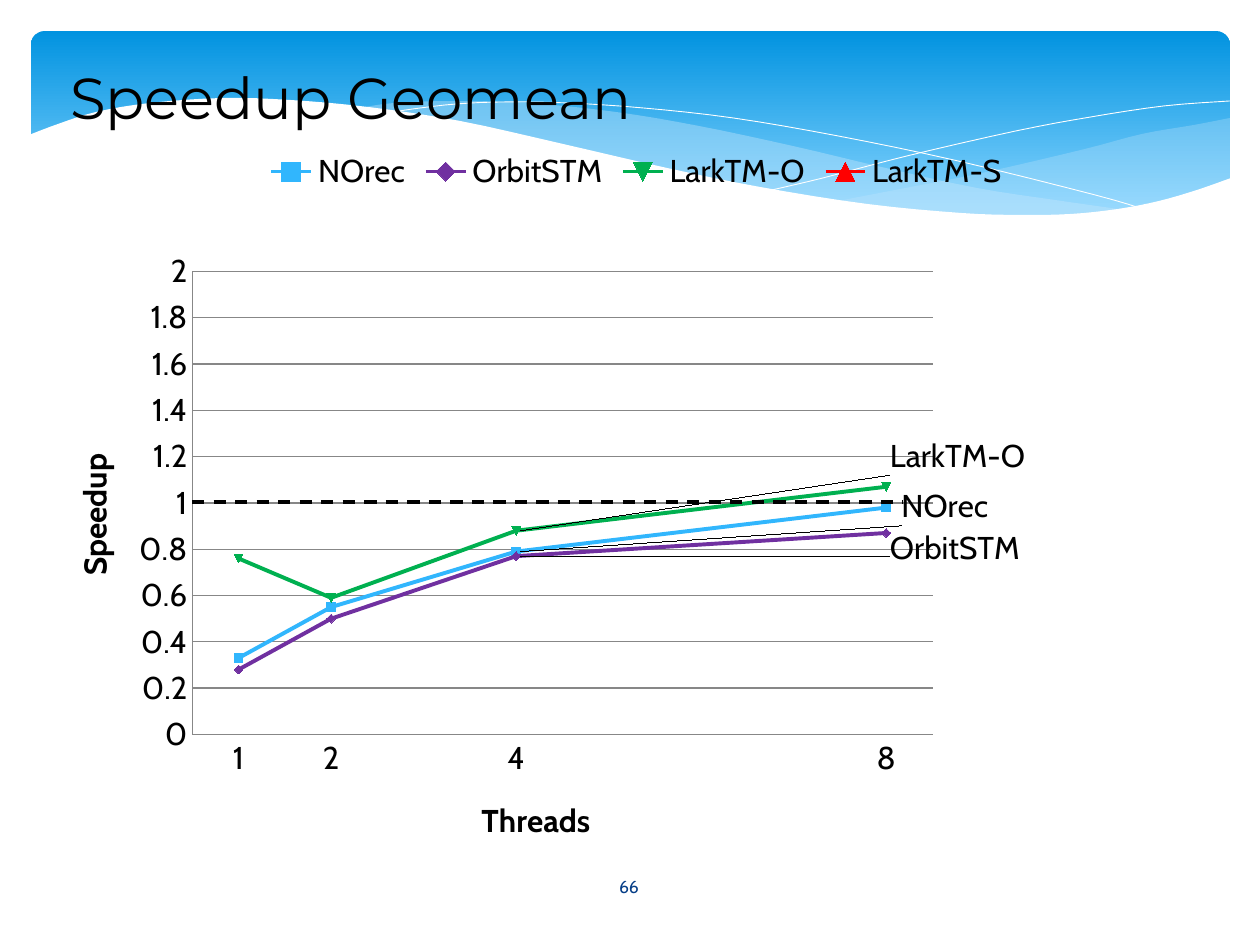
import pptx
import pptx.chart.data
import pptx.dml.color
import pptx.enum.chart
import pptx.enum.dml
import pptx.enum.shapes
import pptx.enum.text
import pptx.oxml
import pptx.oxml.ns
import pptx.util

COLORS = {"sky": "0293E0", "pale": "83D3FE", "wave": "C6E7FC", "white": "FFFFFF",
          "black": "000000", "number": "073E87", "grid": "878787"}
FONT = "Cabin"

CATEGORIES = ["1", "2", "", "4", "", "", "", "8"]
# name, color, values by thread count, label offset as a share of the chart
SERIES = [
    ("NOrec", "31B6FD", {"1": 0.33, "2": 0.55, "4": 0.79, "8": 0.98}, (0.33, -0.06)),
    ("OrbitSTM", "7030A0", {"1": 0.28, "2": 0.5, "4": 0.77, "8": 0.87}, (0.32, -0.01)),
    ("LarkTM-O", "00B050", {"1": 0.76, "2": 0.59, "4": 0.88, "8": 1.07}, (0.32, -0.1)),
    ("LarkTM-S", "FF0000", {}, (0.32, -0.15)),
]
LABELLED = CATEGORIES.index("4")
PLOT = {"x": 0.11, "y": 0.18, "w": 0.65, "h": 0.62}

# Each outline is a list of smooth curves joined end to end.
RIGHT_WAVE = [
    [(1230, 118), (1194, 125), (1142, 134), (1085, 149), (982, 173), (890, 191), (833, 202)],
    [(833, 202), (906, 210), (969, 215), (1026, 217), (1076, 215), (1120, 211), (1160, 204),
     (1196, 194), (1230, 178)],
]
MIDDLE_WAVE = [
    [(1125, 210), (1055, 200), (977, 188), (890, 169), (793, 146), (699, 126), (616, 112),
     (529, 103), (455, 101), (394, 103), (360, 108)],
    [(360, 108), (431, 118), (509, 134), (566, 146), (668, 170), (757, 191), (838, 204),
     (909, 212), (974, 217), (1030, 218), (1080, 215), (1125, 210)],
]
FALLING_LINE = [[(389, 113), (413, 109), (457, 104), (505, 102), (567, 103), (643, 108),
                 (733, 118), (838, 136), (958, 161), (1095, 195), (1143, 209)]]
RISING_LINE = [[(772, 190), (823, 178), (907, 156), (1016, 131), (1091, 117), (1164, 106),
                (1230, 101)]]
FRONT_WAVE = [
    [(29, 135), (58, 124), (96, 112), (150, 103), (223, 98), (290, 100), (368, 107),
     (460, 121), (563, 144), (667, 168), (760, 187), (867, 204), (961, 213), (1019, 215),
     (1071, 214), (1118, 209), (1159, 201), (1197, 190), (1231, 178)],
    [(1231, 178), (1231, 282)],
    [(1231, 282), (29, 282)],
]


def px(n):
    return round(n * 914400 / 126)


def rgb(color):
    return pptx.dml.color.RGBColor.from_string(COLORS.get(color, color))


def set_font(font, size, color="black", name=FONT, bold=False):
    font.size, font.name, font.bold = pptx.util.Pt(size), name, bold
    font.color.rgb = rgb(color)


def smooth(points, steps=4):
    """Points along a Catmull-Rom curve through the given points."""
    ends = [points[0], *points, points[-1]]
    result = [points[0]]
    for a, b, c, d in zip(ends, ends[1:], ends[2:], ends[3:]):
        for t in (i / steps for i in range(1, steps + 1)):
            result.append(tuple(
                (2 * q + (r - p) * t + (2 * p - 5 * q + 4 * r - s) * t ** 2
                 + (3 * q - p - 3 * r + s) * t ** 3) / 2
                for p, q, r, s in zip(a, b, c, d)))
    return result


def add_outline(s, curves, fill=None, opacity=100):
    """A filled closed shape, or a thin white open line when fill is None."""
    points = [(px(x), px(y)) for curve in curves for x, y in smooth(curve)]
    builder = s.shapes.build_freeform(*points[0])
    builder.add_line_segments(points[1:], close=fill is not None)
    sp = builder.convert_to_shape()
    sp.shadow.inherit = False
    if fill is None:
        sp.fill.background()
        sp.line.color.rgb = rgb("white")
        sp.line.width = pptx.util.Pt(0.5)
        return
    sp.fill.solid()
    sp.fill.fore_color.rgb = rgb(fill)
    sp.line.fill.background()
    if opacity < 100:
        color = sp.fill._xPr.find(".//" + pptx.oxml.ns.qn("a:srgbClr"))
        alpha = color.makeelement(pptx.oxml.ns.qn("a:alpha"), {"val": str(opacity * 1000)})
        color.append(alpha)


def add_banner(s):
    sp = s.shapes.add_shape(pptx.enum.shapes.MSO_SHAPE.ROUNDED_RECTANGLE,
                            px(31), px(31), px(1199), px(197))
    sp.adjustments[0] = 0.07
    sp.shadow.inherit = False
    sp.line.fill.background()
    sp.fill.gradient()
    sp.fill.gradient_angle = 270
    for stop, color, position in zip(sp.fill.gradient_stops, ("sky", "pale"), (0, 0.9)):
        stop.color.rgb, stop.position = rgb(color), position
    add_outline(s, RIGHT_WAVE, "wave", 29)
    add_outline(s, MIDDLE_WAVE, "wave", 40)
    add_outline(s, FALLING_LINE)
    add_outline(s, RISING_LINE)
    add_outline(s, FRONT_WAVE, "white")


def add_text(s, text, box, anchor, align, **font):
    tf = s.shapes.add_textbox(*map(px, box)).text_frame
    tf.word_wrap, tf.vertical_anchor = True, anchor
    p = tf.paragraphs[0]
    p.alignment = align
    r = p.add_run()
    r.text = text
    set_font(r.font, **font)


def label_xml(offset):
    """Series name beside one point, moved by offset and tied to it by a leader line."""
    def shows(name):
        return "".join(f'<c:show{part} val="{int(part == name)}"/>' for part in
                       ("LegendKey", "Val", "CatName", "SerName", "Percent", "BubbleSize"))
    x, y = offset
    return pptx.oxml.parse_xml(
        f'<c:dLbls {pptx.oxml.ns.nsdecls("c")}><c:dLbl><c:idx val="{LABELLED}"/>'
        f'<c:layout><c:manualLayout><c:x val="{x}"/><c:y val="{y}"/></c:manualLayout></c:layout>'
        f'<c:dLblPos val="r"/>{shows("SerName")}</c:dLbl>{shows(None)}'
        '<c:extLst><c:ext uri="{CE6537A1-D6FC-4f65-9D91-7224C49458BB}" '
        'xmlns:c15="http://schemas.microsoft.com/office/drawing/2012/chart">'
        '<c15:showLeaderLines val="1"/></c:ext></c:extLst></c:dLbls>')


def style_axis(axis, title):
    axis.major_tick_mark = axis.minor_tick_mark = pptx.enum.chart.XL_TICK_MARK.NONE
    axis.format.line.color.rgb = rgb("grid")
    set_font(axis.tick_labels.font, 18)
    r = axis.axis_title.text_frame.paragraphs[0].add_run()
    r.text = title
    set_font(r.font, 18, bold=True)


def add_speedup_chart(s):
    data = pptx.chart.data.CategoryChartData()
    data.categories = CATEGORIES
    for name, _, values, _ in SERIES:
        data.add_series(name, [values.get(c) for c in CATEGORIES])
    chart = s.shapes.add_chart(pptx.enum.chart.XL_CHART_TYPE.LINE_MARKERS,
                               px(67), px(137), px(1139), px(747), data).chart
    set_font(chart.font, 18)
    chart.has_title = False
    chart.has_legend = True
    chart.legend.position = pptx.enum.chart.XL_LEGEND_POSITION.TOP
    chart.legend.include_in_layout = False
    set_font(chart.legend.font, 18)

    style_axis(chart.category_axis, "Threads")
    axis = chart.value_axis
    style_axis(axis, "Speedup")
    axis.minimum_scale, axis.maximum_scale, axis.major_unit = 0, 2, 0.2
    axis.tick_labels.number_format = "General"
    axis.tick_labels.number_format_is_linked = False
    axis.major_gridlines.format.line.color.rgb = rgb("grid")

    for series, (_, color, _, offset) in zip(chart.plots[0].series, SERIES):
        series.smooth = False
        series.format.line.color.rgb = rgb(color)
        series.format.line.width = pptx.util.Pt(2.25)
        series.marker.size = 5
        series.marker.format.fill.solid()
        series.marker.format.fill.fore_color.rgb = rgb(color)
        series.marker.format.line.color.rgb = rgb(color)
        series._element.find(pptx.oxml.ns.qn("c:cat")).addprevious(label_xml(offset))

    area = chart.element.xpath("//c:plotArea")[0]
    for old in area.xpath("c:layout"):
        area.remove(old)
    sizes = "".join(f'<c:{k} val="{v}"/>' for k, v in PLOT.items())
    area.insert(0, pptx.oxml.parse_xml(
        f'<c:layout {pptx.oxml.ns.nsdecls("c")}><c:manualLayout><c:layoutTarget val="inner"/>'
        f'<c:xMode val="edge"/><c:yMode val="edge"/>{sizes}</c:manualLayout></c:layout>'))
    chart.element.xpath("//c:dispBlanksAs")[0].set("val", "span")


def add_baseline(s):
    line = s.shapes.add_connector(pptx.enum.shapes.MSO_CONNECTOR.STRAIGHT,
                                  px(192), px(502), px(903), px(502))
    line.line.color.rgb = rgb("black")
    line.line.width = pptx.util.Pt(1.75)
    line.line.dash_style = pptx.enum.dml.MSO_LINE.DASH
    props = line._element.spPr
    props.append(props.makeelement(pptx.oxml.ns.qn("a:effectLst"), {}))


def main():
    prs = pptx.Presentation()
    prs.slide_width, prs.slide_height = px(1260), px(945)
    s = prs.slides.add_slide(prs.slide_layouts[6])
    anchors, aligns = pptx.enum.text.MSO_ANCHOR, pptx.enum.text.PP_ALIGN
    add_banner(s)
    add_text(s, "66", (549, 862, 160, 50), anchors.MIDDLE, aligns.CENTER, size=10, color="number")
    add_text(s, "Speedup Geomean", (58, 0, 798, 137), anchors.BOTTOM, aligns.LEFT,
             size=33, name="Montserrat")
    add_speedup_chart(s)
    add_baseline(s)
    prs.save("out.pptx")


if __name__ == "__main__":
    main()
